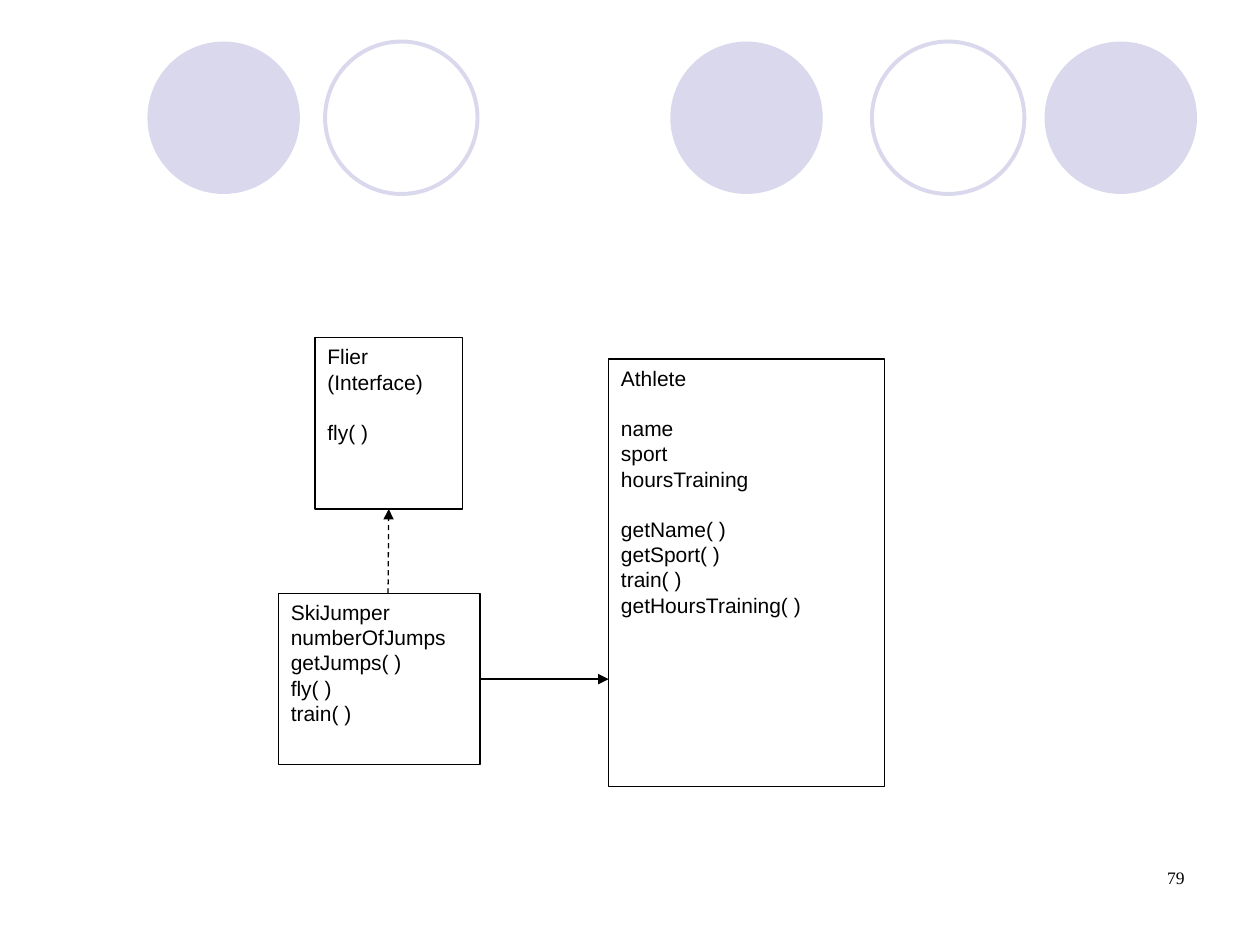
"""Build a slide with a class diagram of a ski jumper."""
from lxml import etree
from pptx import Presentation
from pptx import util as u
from pptx.dml.color import RGBColor
from pptx.enum import dml, shapes, text
from pptx.oxml import ns


def paint(color, code):
    color.rgb = RGBColor.from_string(code)


def style(par, name, size):
    par.font.name = name
    par.font.size = u.Pt(size)
    paint(par.font.color, "000000")


deck = Presentation()
deck.slide_width = u.Inches(10)
deck.slide_height = u.Inches(7.5)
slide = deck.slides.add_slide(deck.slide_layouts[6])

discs = [(5.32, True), (8.29, True), (1.17, True), (6.92, False), (2.58, False)]
for left, solid in discs:
    disc = slide.shapes.add_shape(
        shapes.MSO_SHAPE.OVAL, u.Inches(left), u.Inches(0.33), u.Inches(1.21), u.Inches(1.21))
    disc.shadow.inherit = False
    if solid:
        disc.fill.solid()
        paint(disc.fill.fore_color, "D9D8EC")
        disc.line.fill.background()
    else:
        disc.fill.background()
        paint(disc.line.color, "D9D8EC")
        disc.line.width = u.Pt(2.25)

classes = [
    ((2.5, 2.68, 1.17, 1.36), [["Flier (Interface)"], ["fly( )"]]),
    ((4.83, 2.85, 2.19, 3.39), [
        ["Athlete"],
        ["name", "sport", "hoursTraining"],
        ["getName( )", "getSport( )", "train( )", "getHoursTraining( )"]]),
    ((2.21, 4.71, 1.6, 1.36), [
        ["SkiJumper", "numberOfJumps", "getJumps( )", "fly( )", "train( )"]]),
]
boxes = []
for place, groups in classes:
    box = slide.shapes.add_shape(shapes.MSO_SHAPE.RECTANGLE, *map(u.Inches, place))
    box.shadow.inherit = False
    box.fill.solid()
    paint(box.fill.fore_color, "FFFFFF")
    paint(box.line.color, "000000")
    box.line.width = u.Pt(0.75)
    frame = box.text_frame
    frame.word_wrap = True
    frame.vertical_anchor = text.MSO_ANCHOR.TOP
    frame.text = "\n".join(row for group in groups for row in group)
    starts = {group[0] for group in groups[1:]}
    for par in frame.paragraphs:
        par.alignment = text.PP_ALIGN.LEFT
        if par.text in starts:
            par.space_before = u.Pt(14.4)
        style(par, "Arial", 12)
    boxes.append(box)
flier, athlete, jumper = boxes

links = []
for ends in [(3.81, 5.39, 4.83, 5.39), (3.08, 4.71, 3.08, 4.04)]:
    link = slide.shapes.add_connector(shapes.MSO_CONNECTOR.STRAIGHT, *map(u.Inches, ends))
    paint(link.line.color, "000000")
    link.line.width = u.Pt(0.75)
    links.append(link)
uses, flies = links
uses.begin_connect(jumper, 3)
flies.end_connect(flier, 2)
flies.line.dash_style = dml.MSO_LINE.DASH
for link in links:
    etree.SubElement(link.line._get_or_add_ln(), ns.qn("a:tailEnd"), type="triangle")
    etree.SubElement(link._element.spPr, ns.qn("a:effectLst"))

page = slide.shapes.add_textbox(u.Inches(7.17), u.Inches(6.83), u.Inches(2.33), u.Inches(0.5))
page.text_frame.word_wrap = True
page.text_frame.text = "79"
number = page.text_frame.paragraphs[0]
number.alignment = text.PP_ALIGN.RIGHT
style(number, "Times New Roman", 10)

deck.save("out.pptx")
